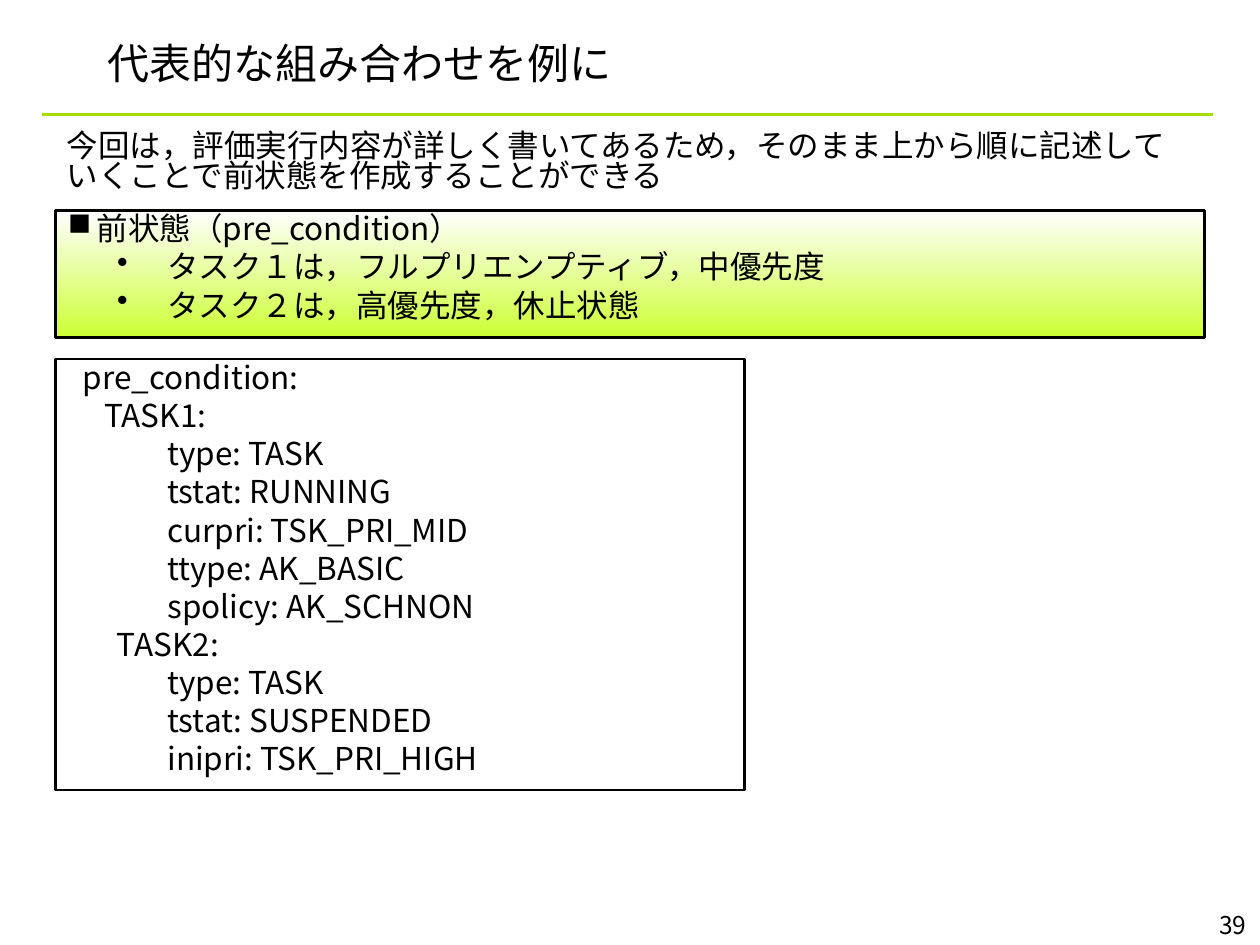
import pptx
import pptx.dml.color
import pptx.enum.shapes
import pptx.enum.text
import pptx.oxml.ns
import pptx.util
from lxml import etree
from pptx.util import Inches

FONT = "Noto Sans CJK JP"
COLORS = {"text": "000000", "rule": "A4DE00", "top": "FFFFFF", "bottom": "CCFF33"}
ALIGN = pptx.enum.text.PP_ALIGN
ANCHOR = pptx.enum.text.MSO_ANCHOR
RECTANGLE = pptx.enum.shapes.MSO_SHAPE.RECTANGLE


def color(name):
    return pptx.dml.color.RGBColor.from_string(COLORS[name])


def write(frame, text, size=18, left=0, hanging=0, bullet=None, spacing=0.8,
          before=4.5, align=ALIGN.LEFT, anchor=ANCHOR.TOP):
    """Add one paragraph, using the empty first one if there is no text yet."""
    first = not frame.text
    paragraph = frame.paragraphs[0] if first else frame.add_paragraph()
    frame.word_wrap = True
    frame.vertical_anchor = anchor
    properties = paragraph._p.get_or_add_pPr()
    properties.set("marL", str(Inches(left)))
    properties.set("indent", str(Inches(-hanging)))
    if bullet:
        mark = etree.SubElement(properties, pptx.oxml.ns.qn("a:buChar"))
        mark.set("char", bullet)
    paragraph.alignment = align
    paragraph.line_spacing = spacing
    paragraph.space_before = pptx.util.Pt(0 if first else before)
    run = paragraph.add_run()
    run.text = text
    run.font.size = pptx.util.Pt(size)
    run.font.name = FONT
    run.font.color.rgb = color("text")
    east_asian = etree.SubElement(run._r.get_or_add_rPr(), pptx.oxml.ns.qn("a:ea"))
    east_asian.set("typeface", FONT)


presentation = pptx.Presentation()
presentation.slide_width = Inches(10)
presentation.slide_height = Inches(7.5)
slide = presentation.slides.add_slide(presentation.slide_layouts[5])

# Title and the rule below it
title = slide.shapes.title
title.left, title.top = Inches(0.75), Inches(0.25)
title.width, title.height = Inches(8.5), Inches(0.5)
write(title.text_frame, "代表的な組み合わせを例に", size=24, spacing=1,
      anchor=ANCHOR.MIDDLE)

rule = slide.shapes.add_connector(
    pptx.enum.shapes.MSO_CONNECTOR.STRAIGHT,
    Inches(0.33), Inches(0.91), Inches(9.63), Inches(0.91))
rule.line.color.rgb = color("rule")
rule.line.width = pptx.util.Pt(1.5)
etree.SubElement(rule._element.spPr, pptx.oxml.ns.qn("a:effectLst"))

# Introduction
intro = slide.shapes.add_textbox(Inches(0.43), Inches(1.01), Inches(9.12), Inches(0.6))
write(intro.text_frame, "今回は，評価実行内容が詳しく書いてあるため，"
      "そのまま上から順に記述していくことで前状態を作成することができる")

# Framed boxes: the condition in words, and the same condition as code
condition = slide.shapes.add_shape(
    RECTANGLE, Inches(0.44), Inches(1.67), Inches(9.12), Inches(1.01))
code = slide.shapes.add_shape(
    RECTANGLE, Inches(0.44), Inches(2.85), Inches(5.47), Inches(3.42))
for box in (condition, code):
    box.shadow.inherit = False
    box.line.color.rgb = color("text")
    box.line.width = pptx.util.Pt(1.5)

condition.fill.gradient()
condition.fill.gradient_angle = 270
for stop, name, position in zip(condition.fill.gradient_stops, ("top", "bottom"), (0, 1)):
    stop.color.rgb = color(name)
    stop.position = position
write(condition.text_frame, "前状態（pre_condition）", left=0.23, hanging=0.23, bullet="■")
for task in ("タスク１は，フルプリエンプティブ，中優先度", "タスク２は，高優先度，休止状態"):
    write(condition.text_frame, task, left=0.79, hanging=0.4, bullet="•")

code.fill.background()
write(code.text_frame, "pre_condition:", left=0.12)
tasks = [
    ("TASK1:", 0.29, ["type: TASK", "tstat: RUNNING", "curpri: TSK_PRI_MID",
                      "ttype: AK_BASIC", "spolicy: AK_SCHNON"]),
    ("TASK2:", 0.39, ["type: TASK", "tstat: SUSPENDED", "inipri: TSK_PRI_HIGH"]),
]
for task, indent, settings in tasks:
    write(code.text_frame, task, left=indent)
    for setting in settings:
        write(code.text_frame, setting, left=0.79)

# Page number
page = slide.shapes.add_textbox(Inches(7.91), Inches(7.17), Inches(2.08), Inches(0.33))
write(page.text_frame, "39", size=14, spacing=1, align=ALIGN.RIGHT)

presentation.save("out.pptx")
